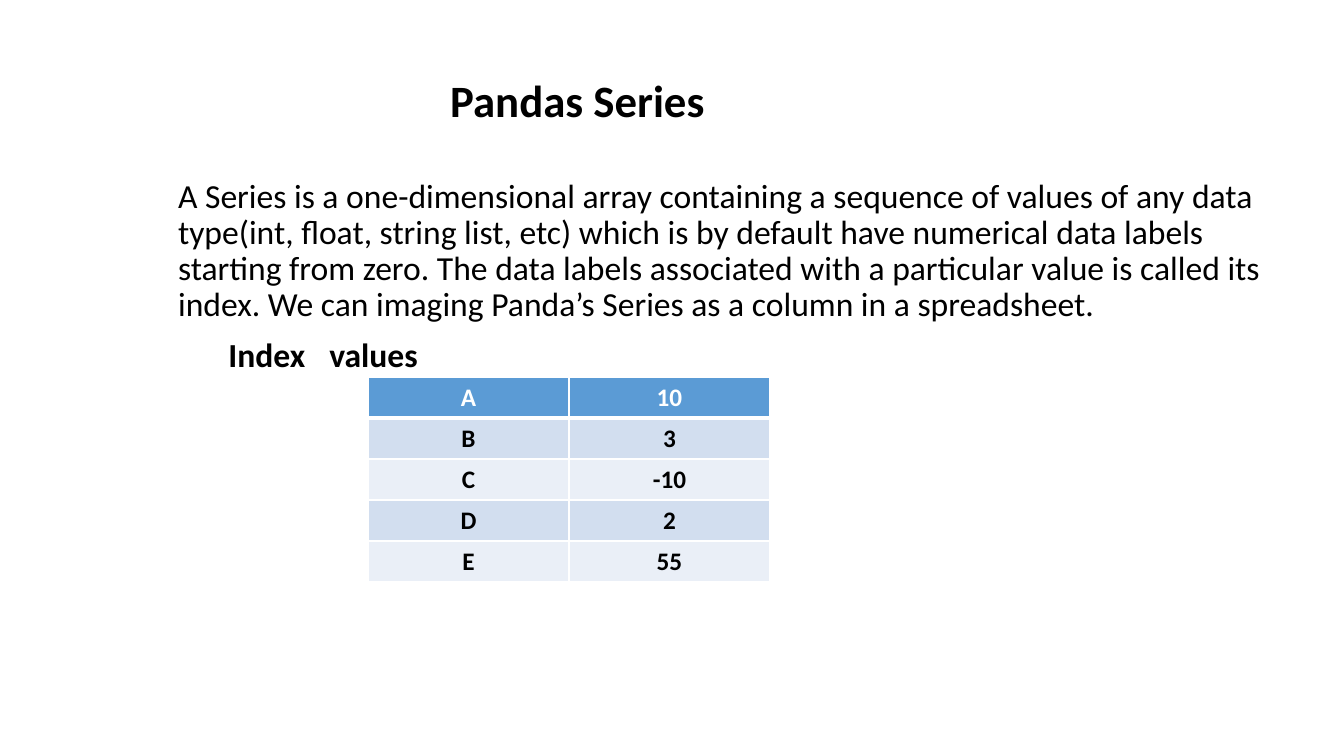
from dataclasses import dataclass

from lxml.etree import SubElement
from pptx import Presentation
from pptx.dml.color import RGBColor as RGB
from pptx.enum.text import MSO_ANCHOR as ANCHOR, MSO_AUTO_SIZE as AUTOSIZE, PP_ALIGN as ALIGN
from pptx.oxml.ns import qn
from pptx.util import Emu, Pt


@dataclass(frozen=True)
class Theme:
    font: str = "Calibri"
    ink: str = "000000"
    white: str = "FFFFFF"
    header: str = "5B9BD5"
    bands: tuple = ("EAEFF7", "D2DEEF")
    title_size: int = 32
    body_size: int = 24
    cell_size: int = 18


THEME = Theme()


def px(length):
    return Emu(round(length * 914400 / 100.8))


def style(paragraph, size, bold, color, align):
    paragraph.alignment = align
    for run in paragraph.runs:
        font = run.font
        font.name, font.size, font.bold = THEME.font, Pt(size), bold
        font.color.rgb = RGB.from_string(color)


prs = Presentation()
prs.slide_width, prs.slide_height = px(1344), px(756)
slide = prs.slides.add_slide(prs.slide_layouts[0])

# Title
title = slide.shapes.title
title.left, title.top, title.width, title.height = px(285), px(40), px(585), px(92)
title.text_frame.text = "Pandas Series"
title.text_frame.vertical_anchor = ANCHOR.BOTTOM
title.text_frame.auto_size = AUTOSIZE.NONE
heading = title.text_frame.paragraphs[0]
heading.line_spacing = 0.9
style(heading, THEME.title_size, True, THEME.ink, ALIGN.CENTER)

# Definition and column headings
body = slide.placeholders[1]
body.left, body.top, body.width, body.height = px(168), px(174), px(1126), px(473)
body.text_frame.auto_size = AUTOSIZE.NONE
body.text_frame.vertical_anchor = ANCHOR.TOP
definition = body.text_frame.paragraphs[0]
definition.text = (
    "A Series is a one-dimensional array containing a sequence of values of any data "
    "type(int, float, string list, etc) which is by default have numerical data labels "
    "starting from zero. The data labels associated with a particular value is called its "
    "index. We can imaging Panda’s Series as a column in a spreadsheet."
)
column_headings = body.text_frame.add_paragraph()
column_headings.text = "\tIndex\tvalues"
tab_stops = SubElement(column_headings._p.get_or_add_pPr(), qn("a:tabLst"))
for stop in (278, 415):
    SubElement(tab_stops, qn("a:tab"), pos=str(px(stop)), algn="l")
for paragraph, gap, bold in ((definition, 0, False), (column_headings, 10, True)):
    paragraph.line_spacing = 0.9
    paragraph.space_before = Pt(gap)
    style(paragraph, THEME.body_size, bold, THEME.ink, ALIGN.LEFT)

# Series table
series = [("A", "10"), ("B", "3"), ("C", "-10"), ("D", "2"), ("E", "55")]
table = slide.shapes.add_table(len(series), 2, px(368), px(377), px(402), px(205)).table
for r, entry in enumerate(series):
    fill = THEME.bands[r % 2] if r else THEME.header
    ink = THEME.ink if r else THEME.white
    for c, value in enumerate(entry):
        cell = table.cell(r, c)
        cell.text_frame.text = value
        style(cell.text_frame.paragraphs[0], THEME.cell_size, True, ink, ALIGN.CENTER)

        # White rules, thicker under the first row
        widths = {"L": 1, "R": 1, "T": 3 if r == 1 else 1, "B": 1 if r else 3}
        for side, width in widths.items():
            line = SubElement(cell._tc.get_or_add_tcPr(), qn(f"a:ln{side}"), w=str(Pt(width)))
            SubElement(SubElement(line, qn("a:solidFill")), qn("a:srgbClr"), val=THEME.white)
        cell.fill.solid()
        cell.fill.fore_color.rgb = RGB.from_string(fill)

prs.save("out.pptx")
